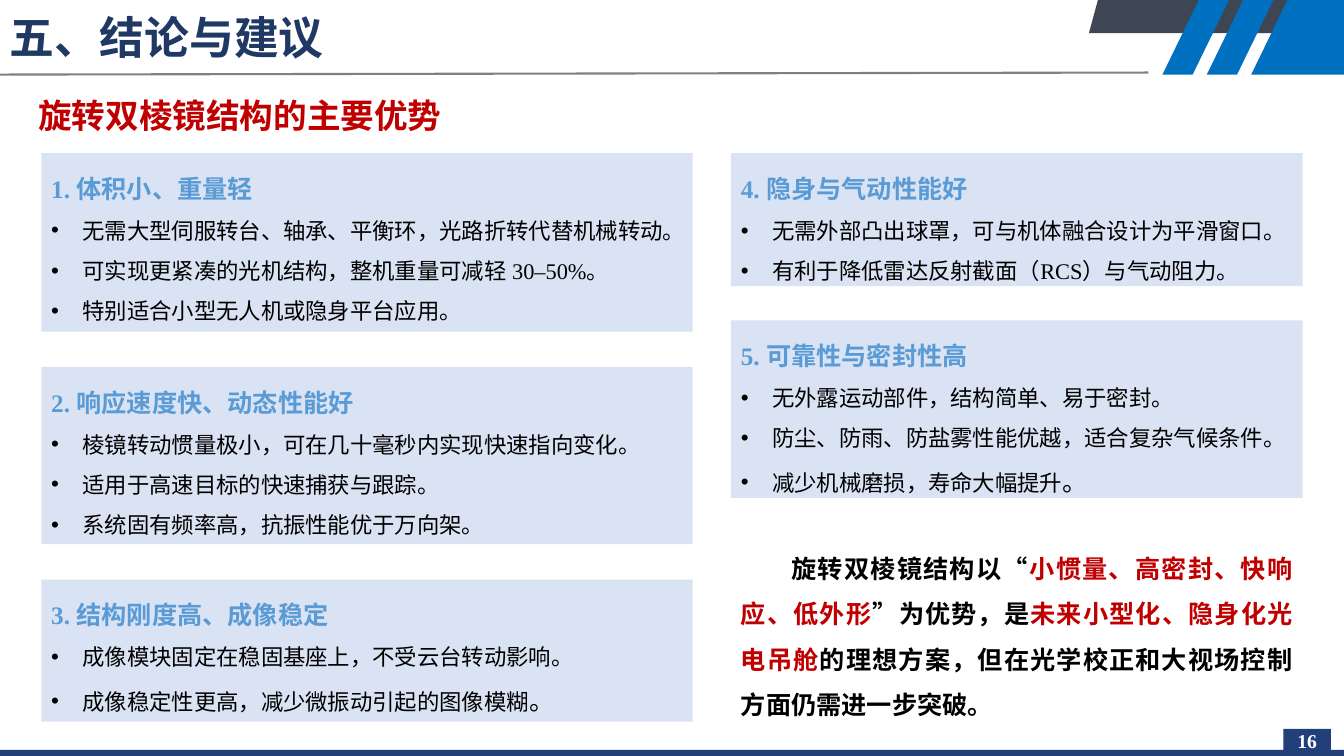
from pptx import Presentation
from pptx.dml.color import RGBColor
from pptx.enum.shapes import MSO_CONNECTOR as Connector, MSO_SHAPE as Shape
from pptx.enum.text import MSO_ANCHOR as Anchor, PP_ALIGN as Align
from pptx.oxml.ns import qn
from pptx.util import Inches, Pt
from lxml.etree import SubElement

NAVY = RGBColor(0x21, 0x40, 0x79)
TITLE_NAVY = RGBColor(0x20, 0x38, 0x64)
SLATE = RGBColor(0x3E, 0x46, 0x54)
BLUE = RGBColor(0x00, 0x70, 0xC0)
GRAY = RGBColor(0x80, 0x80, 0x80)
PALE_BLUE = RGBColor(0xDA, 0xE3, 0xF3)
SKY = RGBColor(0x5B, 0x9B, 0xD5)
RED = RGBColor(0xC0, 0x00, 0x00)
BLACK = RGBColor(0x00, 0x00, 0x00)
WHITE = RGBColor(0xFF, 0xFF, 0xFF)
SERIF = "Times New Roman"
SANS = "Noto Sans CJK SC"


def add_span(para, text, size, color, bold=True, name=SERIF):
    span = para.add_run()
    span.text = text
    span.font.color.rgb = color
    for key, value in {"size": Pt(size), "bold": bold, "name": name}.items():
        setattr(span.font, key, value)
    SubElement(span.font._element, qn("a:ea"), typeface=SANS)


def paint(shape, color):
    shape.shadow.inherit = False
    shape.fill.solid()
    shape.fill.fore_color.rgb = color
    shape.line.fill.background()


deck = Presentation()
deck.slide_width, deck.slide_height = Inches(13.33), Inches(7.5)
page = deck.slides.add_slide(deck.slide_layouts[6])
shapes = page.shapes

bars = [(0, 7.44, 13.33, 0.07), (12.73, 7.23, 0.47, 0.22)]
for bar in bars:
    paint(shapes.add_shape(Shape.RECTANGLE, *map(Inches, bar)), NAVY)

header_bands = [
    (10.89, 13.33, 13.33, 10.8, 0.33, SLATE),
    (12.33, 12.63, 12.27, 11.97, 0.74, BLUE),
    (11.89, 12.19, 11.83, 11.53, 0.74, BLUE),
    (12.77, 13.33, 13.33, 12.41, 0.74, BLUE),
]
for top_left, top_right, low_right, low_left, depth, color in header_bands:
    outline = shapes.build_freeform(Inches(top_left), 0)
    corners = [(top_right, 0), (low_right, depth), (low_left, depth)]
    outline.add_line_segments([(Inches(x), Inches(y)) for x, y in corners])
    paint(outline.convert_to_shape(), color)

rule = shapes.add_connector(Connector.STRAIGHT, Inches(11.39), Inches(0.72), 0, Inches(0.74))
rule.line.color.rgb = GRAY
rule.line.width = Pt(1.5)
SubElement(rule._element.spPr, qn("a:effectLst"))

labels = [
    ("16", (12.75, 7.18, 0.43, 0.34), 14, WHITE, SERIF, Align.CENTER, False),
    ("五、结论与建议", (0, 0.04, 4.6, 0.64), 32, TITLE_NAVY, SANS, Align.LEFT, True),
    ("旋转双棱镜结构的主要优势", (0.23, 0.89, 4.3, 0.5), 24, RED, SERIF, Align.CENTER, True),
]
for text, place, size, color, name, align, wrap in labels:
    box = shapes.add_textbox(*map(Inches, place))
    box.text_frame.word_wrap = wrap
    box.text_frame.vertical_anchor = Anchor.MIDDLE
    para = box.text_frame.paragraphs[0]
    para.alignment = align
    add_span(para, text, size, color, name=name)

LEFT_COLUMN = (0.41, 6.46)
RIGHT_COLUMN = (7.25, 5.67)
cards = [
    (LEFT_COLUMN, 1.52, 1.77, "1. 体积小、重量轻", [
        "无需大型伺服转台、轴承、平衡环，光路折转代替机械转动。",
        "可实现更紧凑的光机结构，整机重量可减轻 30–50%。",
        "特别适合小型无人机或隐身平台应用。"], 16),
    (LEFT_COLUMN, 3.64, 1.76, "2. 响应速度快、动态性能好", [
        "棱镜转动惯量极小，可在几十毫秒内实现快速指向变化。",
        "适用于高速目标的快速捕获与跟踪。",
        "系统固有频率高，抗振性能优于万向架。"], 16),
    (LEFT_COLUMN, 5.75, 1.41, "3. 结构刚度高、成像稳定", [
        "成像模块固定在稳固基座上，不受云台转动影响。",
        "成像稳定性更高，减少微振动引起的图像模糊。"], 18),
    (RIGHT_COLUMN, 1.52, 1.32, "4. 隐身与气动性能好", [
        "无需外部凸出球罩，可与机体融合设计为平滑窗口。",
        "有利于降低雷达反射截面（RCS）与气动阻力。"], 16),
    (RIGHT_COLUMN, 3.18, 1.76, "5. 可靠性与密封性高", [
        "无外露运动部件，结构简单、易于密封。",
        "防尘、防雨、防盐雾性能优越，适合复杂气候条件。",
        "减少机械磨损，寿命大幅提升。"], 18),
]
for (left, width), top, height, heading, points, last_stop_size in cards:
    card = shapes.add_shape(Shape.RECTANGLE, *map(Inches, (left, top, width, height)))
    paint(card, PALE_BLUE)
    frame = card.text_frame
    frame.word_wrap = True
    frame.vertical_anchor = Anchor.TOP
    para = frame.paragraphs[0]
    para.alignment = Align.LEFT
    para.line_spacing = 1.5
    add_span(para, heading, 18, SKY)
    for point in points:
        para = frame.add_paragraph()
        para.alignment = Align.LEFT
        para.line_spacing = 1.5
        props = para._p.get_or_add_pPr()
        props.set("marL", str(Inches(0.31)))
        props.set("indent", str(Inches(-0.31)))
        SubElement(props, qn("a:buFont"), typeface="Arial")
        SubElement(props, qn("a:buChar"), char="•")
        stop_size = last_stop_size if point == points[-1] else 16
        if stop_size == 16:
            add_span(para, point, 16, BLACK, bold=False)
        else:
            add_span(para, point[:-1], 16, BLACK, bold=False)
            add_span(para, point[-1], stop_size, BLACK, bold=False)

conclusion = shapes.add_textbox(*map(Inches, (7.25, 5.29, 5.67, 1.87)))
conclusion.text_frame.word_wrap = True
para = conclusion.text_frame.paragraphs[0]
para.alignment = Align.JUSTIFY
para.line_spacing = 1.5
para._p.get_or_add_pPr().set("indent", str(Inches(0.5)))
conclusion_spans = [
    ("旋转双棱镜结构以“", BLACK),
    ("小惯量、高密封、快响应、低外形", RED),
    ("”为优势，是", BLACK),
    ("未来小型化、隐身化光电吊舱", RED),
    ("的理想方案，但在光学校正和大视场控制方面仍需进一步突破。", BLACK),
]
for text, color in conclusion_spans:
    add_span(para, text, 18, color, name=SANS)

deck.save("out.pptx")
